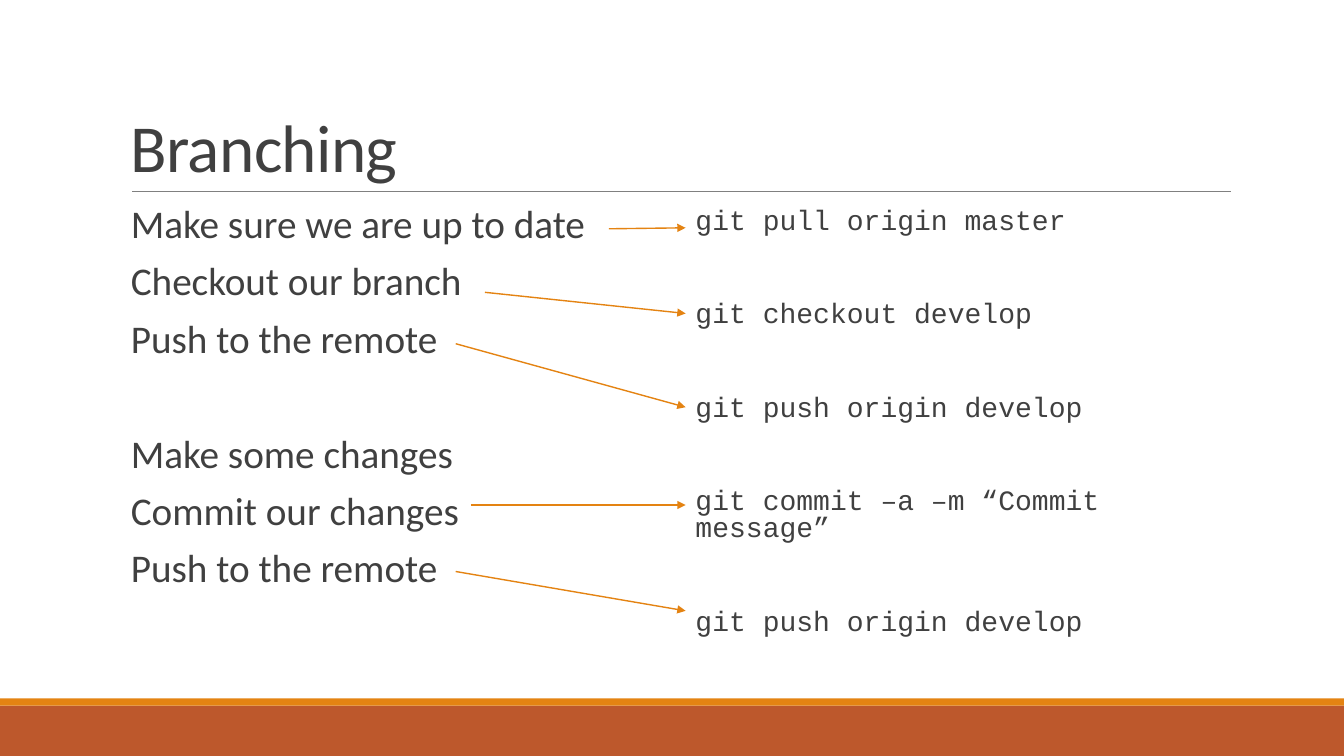
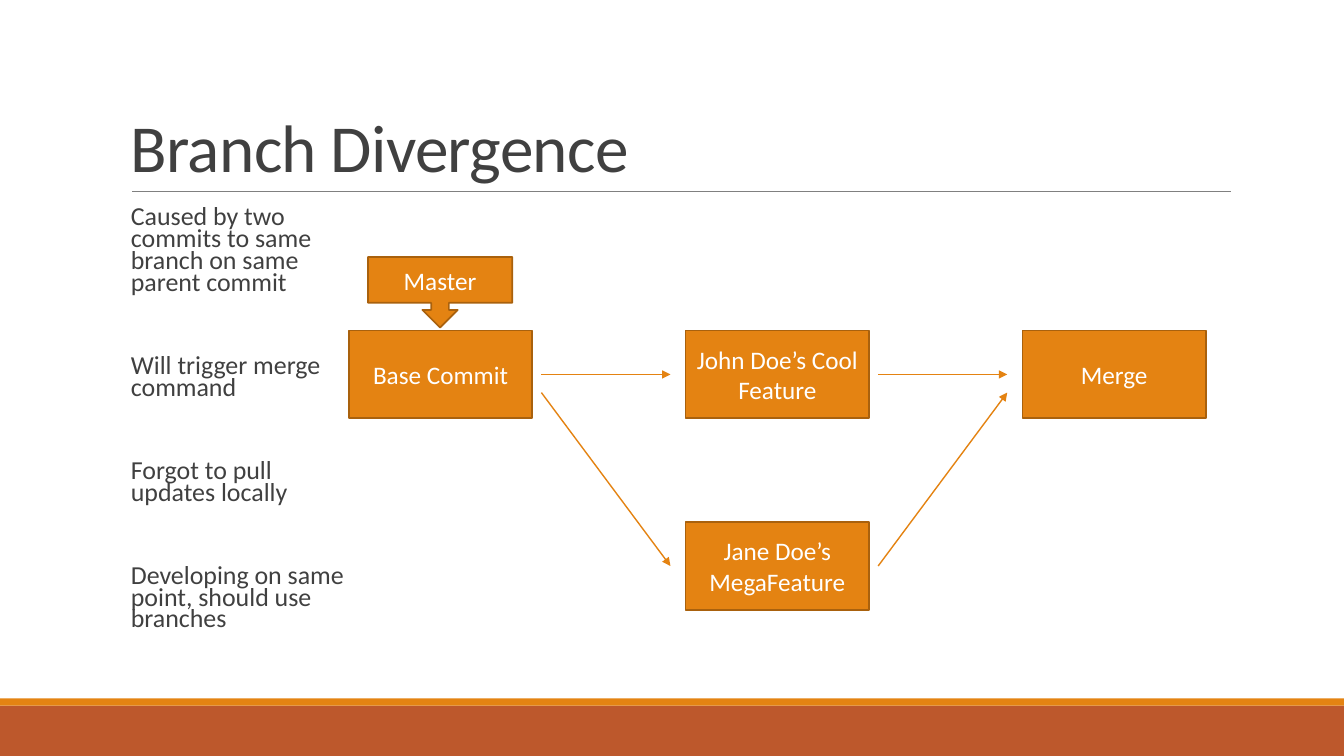
from lxml import etree
from pptx import Presentation
from pptx.dml.color import RGBColor
from pptx.enum.shapes import MSO_CONNECTOR, MSO_SHAPE
from pptx.enum.text import MSO_ANCHOR, PP_ALIGN
from pptx.oxml.ns import qn
from pptx.util import Inches, Pt

STRAIGHT = MSO_CONNECTOR.STRAIGHT
RECT, CALLOUT = MSO_SHAPE.RECTANGLE, MSO_SHAPE.DOWN_ARROW_CALLOUT
TOP, MIDDLE, BOTTOM = MSO_ANCHOR.TOP, MSO_ANCHOR.MIDDLE, MSO_ANCHOR.BOTTOM
LEFT, CENTER = PP_ALIGN.LEFT, PP_ALIGN.CENTER

ORANGE = RGBColor(0xE4, 0x83, 0x12)
DARK_ORANGE = RGBColor(0xA9, 0x61, 0x0D)
RUST = RGBColor(0xBD, 0x58, 0x2C)
GREY = RGBColor(0x80, 0x80, 0x80)
INK = RGBColor(0x40, 0x40, 0x40)
WHITE = RGBColor(0xFF, 0xFF, 0xFF)

SLIDE_W, SLIDE_H = 13.33, 7.5
MARGIN, BODY_TOP, BODY_H = 1.2, 2.02, 4.4
COLUMN_W, COMMAND_X = 5.4, 6.8

# Body text is a list of groups; a wider gap opens each group after the first.
STEPS = [
    ["Make sure we are up to date", "Checkout our branch", "Push to the remote"],
    ["Make some changes", "Commit our changes", "Push to the remote"],
]
COMMANDS = [
    ["git pull origin master"],
    ["git checkout develop"],
    ["git push origin develop"],
    ["git commit –a –m “Commit message”"],
    ["git push origin develop"],
]
# Start x, start y and end y of each arrow from a step to its command
STEP_ARROWS = [
    (6.04, 2.27, 2.26),
    (4.81, 2.9, 3.11),
    (4.52, 3.41, 4.04),
    (4.67, 5.01, 5.01),
    (4.52, 5.67, 6.06),
]
CAUSES = [
    ["Caused by two commits to same branch on same parent commit"],
    ["Will trigger merge command"],
    ["Forgot to pull updates locally"],
    ["Developing on same point, should use branches"],
]

# Commit graph: label -> (column, row)
COMMITS = {
    "Base Commit": (0, 0),
    "John Doe’s Cool Feature": (1, 0),
    "Merge": (2, 0),
    "Jane Doe’s MegaFeature": (1, 1),
}
HISTORY = [
    ("Base Commit", "John Doe’s Cool Feature"),
    ("John Doe’s Cool Feature", "Merge"),
    ("Jane Doe’s MegaFeature", "Merge"),
    ("Base Commit", "Jane Doe’s MegaFeature"),
]
GRAPH_X, GRAPH_Y, COLUMN_STEP, ROW_STEP = 3.46, 3.28, 3.34, 1.9
COMMIT_W, COMMIT_H = 1.82, 0.87
GAP_OUT, GAP_IN, FORK_DROP = 0.09, 0.15, 0.18

STEP_STYLE = dict(size=28, line=0.8, gap=41.3)
COMMAND_STYLE = dict(size=20, line=0.8, gap=33.6, font="Courier New")
CAUSE_STYLE = dict(size=18.5, line=0.7, gap=29.8)


def write(paragraph, text, size, color, font="Calibri", align=LEFT):
    paragraph.alignment = align
    run = paragraph.add_run()
    run.text = text
    for name, value in dict(size=Pt(size), name=font).items():
        setattr(run.font, name, value)
    run.font.color.rgb = color
    return run


def add_text_frame(slide, box, anchor, insets):
    frame = slide.shapes.add_textbox(*map(Inches, box)).text_frame
    frame.word_wrap = True
    frame.vertical_anchor = anchor
    for side, inset in zip(("left", "top", "right", "bottom"), insets):
        setattr(frame, f"margin_{side}", Inches(inset))
    return frame


def add_body(slide, x, width, groups, size, line, gap, font="Calibri"):
    frame = add_text_frame(slide, (x, BODY_TOP, width, BODY_H), TOP,
                           (0.1, 0.05, 0, 0.05))
    paragraph = None
    for group in groups:
        for index, text in enumerate(group):
            opens_gap = paragraph is not None and index == 0
            paragraph = frame.add_paragraph() if paragraph else frame.paragraphs[0]
            spacing = dict(line_spacing=line, space_after=Pt(2),
                           space_before=Pt(12 + (gap if opens_gap else 0)))
            for name, value in spacing.items():
                setattr(paragraph, name, value)
            write(paragraph, text, size, INK, font)


def add_block(slide, box, fill, kind=RECT, label=None):
    """Add a filled shape; a labelled one also gets an outline."""
    block = slide.shapes.add_shape(kind, *map(Inches, box))
    block.shadow.inherit = False
    block.fill.solid()
    block.fill.fore_color.rgb = fill
    if label is None:
        block.line.fill.background()
        return
    block.line.color.rgb = DARK_ORANGE
    block.line.width = Pt(1.25)
    block.text_frame.word_wrap = True
    block.text_frame.vertical_anchor = MIDDLE
    write(block.text_frame.paragraphs[0], label, 18, WHITE, align=CENTER)


def add_line(slide, start, end, color=ORANGE, width=1, arrow=True):
    line = slide.shapes.add_connector(STRAIGHT, *map(Inches, (*start, *end)))
    line.line.color.rgb = color
    line.line.width = Pt(width)
    if arrow:
        etree.SubElement(line.line._get_or_add_ln(), qn("a:tailEnd"), type="triangle")
    etree.SubElement(line._element.spPr, qn("a:effectLst"))


def add_titled_slide(deck, title):
    """Add a slide with the shared bands, title and title rule."""
    slide = deck.slides.add_slide(deck.slide_layouts[6])
    add_block(slide, (0, 7, SLIDE_W, 0.5), RUST)
    add_block(slide, (0, 6.93, SLIDE_W, 0.07), ORANGE)
    add_line(slide, (1.31, 1.9), (12.21, 1.9), GREY, 0.5, arrow=False)
    frame = add_text_frame(slide, (MARGIN, 0.31, 11, 1.59), BOTTOM,
                           (0.1, 0.05, 0.1, 0.05))
    frame.paragraphs[0].line_spacing = 0.85
    run = write(frame.paragraphs[0], title, 48, INK)
    run._r.get_or_add_rPr().set("spc", "-50")
    return slide


def commit_corner(label):
    column, row = COMMITS[label]
    return GRAPH_X + column * COLUMN_STEP, GRAPH_Y + row * ROW_STEP


def add_history_arrow(slide, parent, child):
    (x1, y1), (x2, y2) = commit_corner(parent), commit_corner(child)
    middle = COMMIT_H / 2
    # Diagonals meet the upper row a little below its middle.
    drop_start = FORK_DROP if y1 < y2 else 0
    drop_end = FORK_DROP if y2 < y1 else 0
    add_line(slide, (x1 + COMMIT_W + GAP_OUT, y1 + middle + drop_start),
             (x2 - GAP_IN, y2 + middle + drop_end))


def build_branching(deck):
    slide = add_titled_slide(deck, "Branching")
    add_body(slide, MARGIN, COLUMN_W, STEPS, **STEP_STYLE)
    add_body(slide, COMMAND_X, COLUMN_W, COMMANDS, **COMMAND_STYLE)
    for x, start_y, end_y in STEP_ARROWS:
        add_line(slide, (x, start_y), (COMMAND_X, end_y))


def build_divergence(deck):
    slide = add_titled_slide(deck, "Branch Divergence")
    add_body(slide, MARGIN, GRAPH_X - MARGIN, CAUSES, **CAUSE_STYLE)
    for label in COMMITS:
        add_block(slide, (*commit_corner(label), COMMIT_W, COMMIT_H), ORANGE, label=label)
    add_block(slide, (3.65, 2.55, 1.43, 0.7), ORANGE, CALLOUT, "Master")
    for parent, child in HISTORY:
        add_history_arrow(slide, parent, child)


def main():
    deck = Presentation()
    deck.slide_width, deck.slide_height = Inches(SLIDE_W), Inches(SLIDE_H)
    build_branching(deck)
    build_divergence(deck)
    deck.save("out.pptx")


if __name__ == "__main__":
    main()
